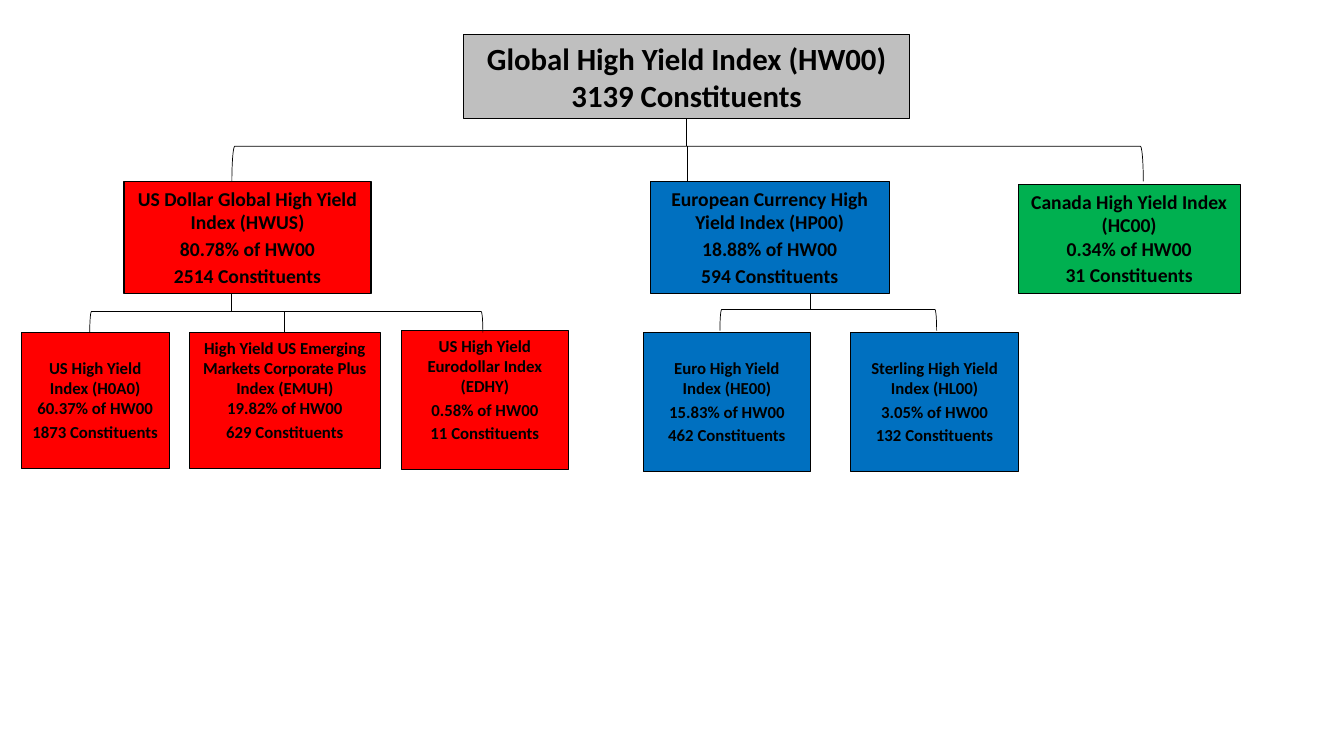
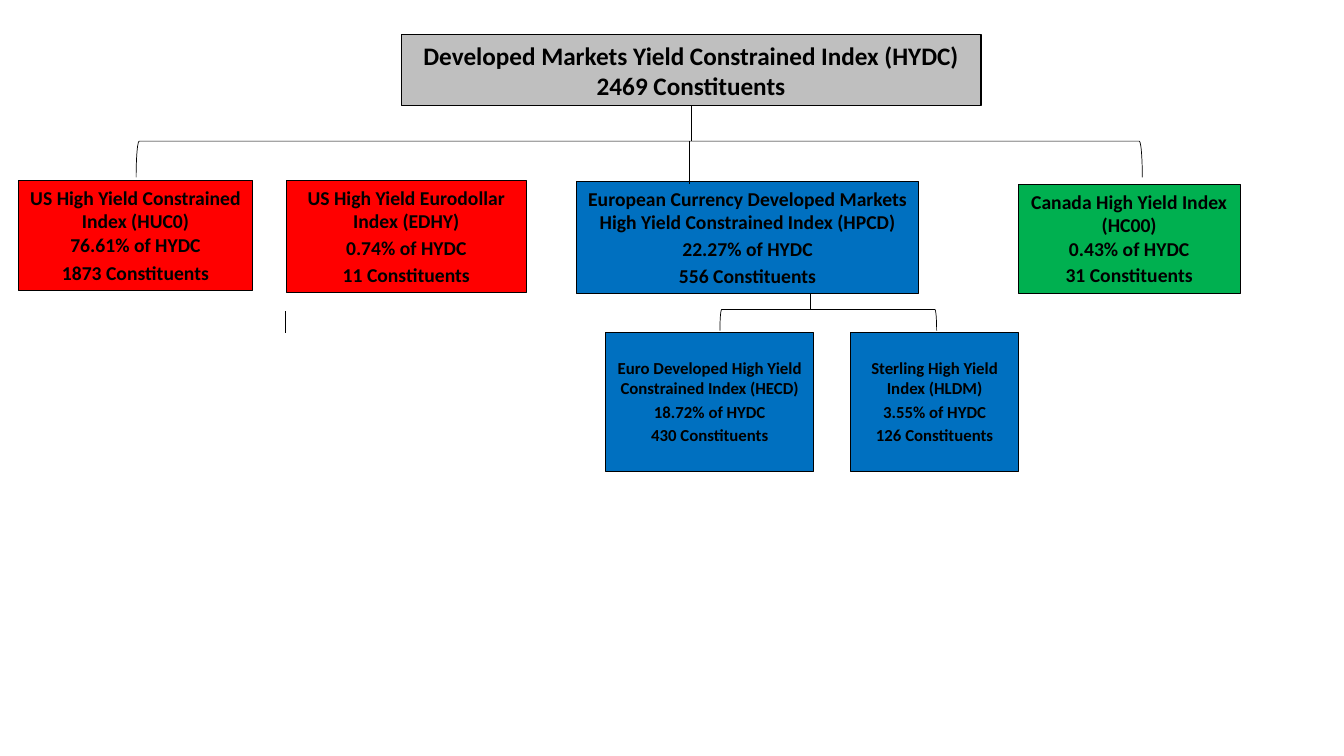
from pptx import Presentation
from pptx.dml.color import RGBColor
from pptx.enum import shapes, text
from pptx.oxml.ns import qn
from pptx.util import Inches, Pt
from lxml import etree

BLACK = RGBColor(0x00, 0x00, 0x00)
GREY = RGBColor(0xBF, 0xBF, 0xBF)
RED = RGBColor(0xFF, 0x00, 0x00)
BLUE = RGBColor(0x00, 0x70, 0xC0)
GREEN = RGBColor(0x00, 0xB0, 0x50)
FONT = "Calibri"
TITLE_ONLY = 5
GAP = 2.4
LOWERED = 0.25
CANADA_BOX = (10.1, 1.83, 2.2, 1.08)


def write(paragraph, words, size=14, bold=True, color=BLACK, before=0):
    paragraph.alignment = text.PP_ALIGN.CENTER
    paragraph.space_before = Pt(before)
    run = paragraph.add_run()
    run.text = words
    run.font.name = FONT
    run.font.size = Pt(size)
    run.font.bold = bold
    run.font.color.rgb = color


def fill_panel(panel, fill, lines, size, gaps, anchor, inset_top=0.05):
    panel.fill.solid()
    panel.fill.fore_color.rgb = fill
    panel.line.color.rgb = BLACK
    panel.line.width = Pt(0.75)
    frame = panel.text_frame
    frame.word_wrap = True
    frame.auto_size = text.MSO_AUTO_SIZE.NONE
    frame.vertical_anchor = anchor
    frame.margin_left = frame.margin_right = Inches(0.1)
    frame.margin_top, frame.margin_bottom = Inches(inset_top), Inches(0.05)
    for number, (words, gap) in enumerate(zip(lines, gaps)):
        paragraph = frame.add_paragraph() if number else frame.paragraphs[0]
        write(paragraph, words, size=size, before=gap)


def index_heading(slide, box, name, constituents, size):
    heading = slide.shapes.title
    heading.left, heading.top, heading.width, heading.height = map(Inches, box)
    fill_panel(heading, GREY, (name, f"{constituents} Constituents"), size,
               (0, 0), text.MSO_ANCHOR.MIDDLE)
    return heading


def index_card(slide, box, fill, name, share, constituents, size=14,
               gaps=(GAP, GAP), inset_top=0.05):
    card = slide.shapes.add_shape(shapes.MSO_SHAPE.RECTANGLE, *map(Inches, box))
    card.shadow.inherit = False
    lines = (name, share, f"{constituents} Constituents")
    fill_panel(card, fill, lines, size, (0, *gaps), text.MSO_ANCHOR.TOP, inset_top)
    return card


def stem(slide, top, bottom, x=None, above=None, below=None):
    joined = above or below
    center = joined.left + joined.width // 2 if joined else Inches(x)
    line = slide.shapes.add_connector(
        shapes.MSO_CONNECTOR.STRAIGHT, center, Inches(top), center, Inches(bottom))
    line.line.color.rgb = BLACK
    line.line.width = Pt(0.5)
    etree.SubElement(line.element.find(qn("p:spPr")), qn("a:effectLst"))
    if above:
        line.begin_connect(above, 2)
    if below:
        line.end_connect(below, 0)


def fork(slide, box):
    left, top, width, height = box
    bracket = slide.shapes.add_shape(
        shapes.MSO_SHAPE.RIGHT_BRACKET,
        Inches(left + (width - height) / 2), Inches(top + (height - width) / 2),
        Inches(height), Inches(width))
    bracket.rotation = 270
    bracket.shadow.inherit = False
    bracket.fill.background()
    bracket.line.color.rgb = BLACK
    bracket.line.width = Pt(0.5)


def heading_fork(slide, box, heading, heading_bottom, stem_x, stem_bottom):
    fork(slide, box)
    stem(slide, heading_bottom, box[1], above=heading)
    stem(slide, box[1], stem_bottom, x=stem_x)


def us_branch(slide, box):
    left, top, width, height = box
    card_top = top + 0.38
    index_card(slide, (left, card_top, 1.47, 1.35), RED,
               "US High Yield Index (H0A0)", "60.37% of HW00", 1873,
               size=12, gaps=(0, GAP), inset_top=LOWERED)
    emerging = index_card(
        slide, (left + 1.67, card_top, 1.89, 1.35), RED,
        "High Yield US Emerging Markets Corporate Plus Index (EMUH)",
        "19.82% of HW00", 629, size=12, gaps=(0, GAP))
    index_card(slide, (left + width - 1.66, top + 0.36, 1.66, 1.38), RED,
               "US High Yield Eurodollar Index (EDHY)", "0.58% of HW00", 11, size=12)
    fork(slide, (left + 0.68, top + 0.17, 3.9, 0.21))
    stem(slide, top, top + 0.17, x=left + 2.08)
    stem(slide, top + 0.17, card_top, below=emerging)


def europe_branch(slide, box, euro_width, euro, sterling):
    left, top, width, height = box
    right = left + width
    card_top = top + 0.38
    for card_left, card_width, facts in (
            (left, euro_width, euro), (right - 1.66, 1.66, sterling)):
        index_card(slide, (card_left, card_top, card_width, height - 0.38), BLUE,
                   *facts, size=12, inset_top=LOWERED)
    fork(slide, (right - 2.96, top + 0.15, 2.15, 0.21))
    stem(slide, top, top + 0.15, x=right - 2.06)


def global_slide(slide):
    heading = index_heading(slide, (4.6, 0.34, 4.42, 0.84),
                            "Global High Yield Index (HW00)", 3139, 22)
    index_card(slide, (1.23, 1.8, 2.45, 1.11), RED,
               "US Dollar Global High Yield Index (HWUS)", "80.78% of HW00", 2514)
    index_card(slide, (6.45, 1.8, 2.37, 1.11), BLUE,
               "European Currency High Yield Index (HP00)", "18.88% of HW00", 594)
    index_card(slide, CANADA_BOX, GREEN, "Canada High Yield Index (HC00)",
               "0.34% of HW00", 31, gaps=(0, GAP))
    heading_fork(slide, (2.3, 1.45, 9.04, 0.35), heading, 1.18, 6.82, 1.8)
    us_branch(slide, (0.21, 2.92, 5.43, 1.74))
    europe_branch(slide, (6.38, 2.92, 3.72, 1.76), 1.66,
                  ("Euro High Yield Index (HE00)", "15.83% of HW00", 462),
                  ("Sterling High Yield Index (HL00)", "3.05% of HW00", 132))


def developed_slide(slide):
    heading = index_heading(slide, (3.98, 0.34, 5.75, 0.71),
                            "Developed Markets Yield Constrained Index (HYDC)", 2469, 18)
    index_card(slide, (0.18, 1.79, 2.33, 1.09), RED,
               "US High Yield Constrained Index (HUC0)", "76.61% of HYDC", 1873,
               gaps=(0, 3.6))
    index_card(slide, (2.84, 1.79, 2.38, 1.11), RED,
               "US High Yield Eurodollar Index (EDHY)", "0.74% of HYDC", 11)
    index_card(slide, (5.72, 1.8, 3.39, 1.11), BLUE,
               "European Currency Developed Markets High Yield Constrained Index (HPCD)",
               "22.27% of HYDC", 556)
    index_card(slide, CANADA_BOX, GREEN, "Canada High Yield Index (HC00)",
               "0.43% of HYDC", 31, gaps=(0, GAP))
    heading_fork(slide, (1.35, 1.4, 9.98, 0.36), heading, 1.05, 6.84, 1.83)
    stem(slide, 3.09, 3.3, x=2.83)
    europe_branch(slide, (6.01, 2.92, 4.09, 1.76), 2.06,
                  ("Euro Developed High Yield Constrained Index (HECD)",
                   "18.72% of HYDC", 430),
                  ("Sterling High Yield Index (HLDM)", "3.55% of HYDC", 126))


def main():
    deck = Presentation()
    deck.slide_width, deck.slide_height = Inches(13.33), Inches(7.5)
    for build in (global_slide, developed_slide):
        build(deck.slides.add_slide(deck.slide_layouts[TITLE_ONLY]))
    deck.save("out.pptx")


if __name__ == "__main__":
    main()
